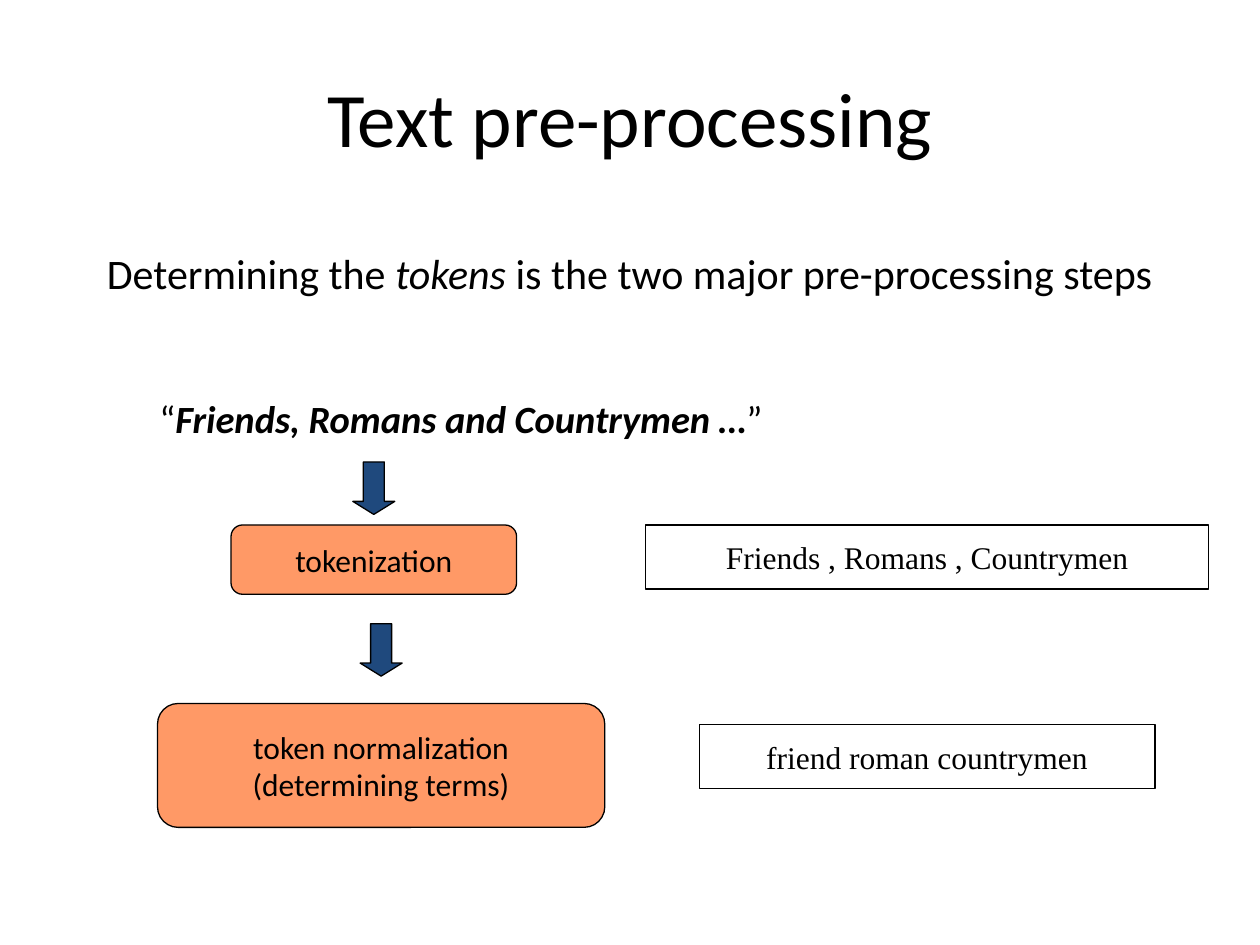
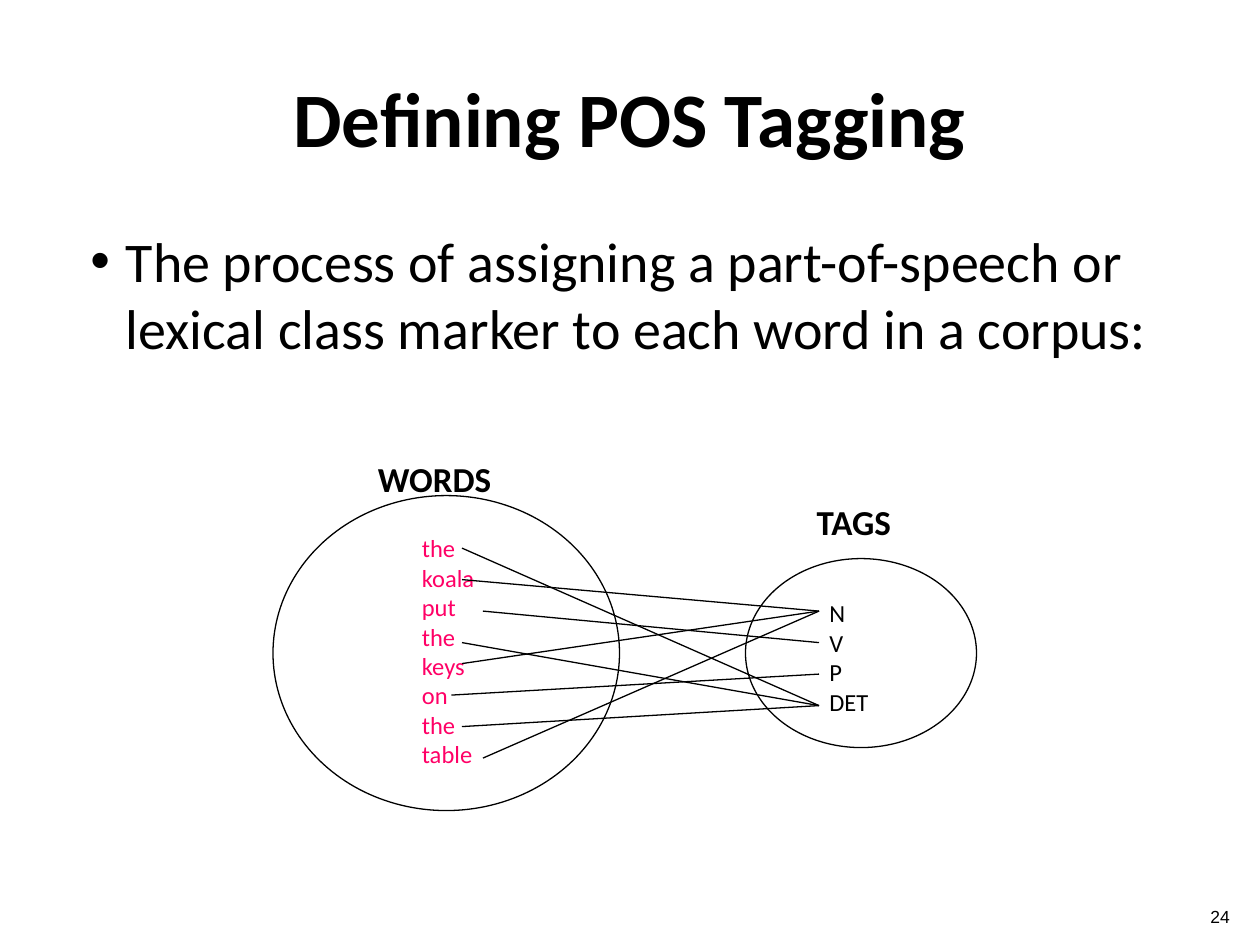
from dataclasses import dataclass

from lxml.etree import SubElement
from pptx import Presentation
from pptx.dml.color import RGBColor
from pptx.enum.shapes import MSO_CONNECTOR, MSO_SHAPE
from pptx.enum.text import MSO_ANCHOR as Anchor, PP_ALIGN as Align
from pptx.oxml.ns import qn
from pptx.util import Inches, Pt

BLACK = RGBColor(0x00, 0x00, 0x00)
WHITE = RGBColor(0xFF, 0xFF, 0xFF)
ORANGE = RGBColor(0xFF, 0x99, 0x66)
NAVY = RGBColor(0x1F, 0x49, 0x7D)
PINK = RGBColor(0xFF, 0x00, 0x66)
SANS, SERIF, NUMBER_FONT = "Calibri", "Times New Roman", "Arial"
OUTLINE = Pt(0.75)

# The slide is a grid of 120 columns by 90 rows
COLUMNS, ROWS = 120, 90
CELL = Inches(10) // COLUMNS


@dataclass
class Box:
    """A region measured in grid cells."""
    left: float
    top: float
    width: float
    height: float

    def inner(self, column, row, width, height):
        return Box(self.left + column, self.top + row, width, height)

    def emu(self):
        return [round(n * CELL) for n in (self.left, self.top, self.width, self.height)]


TITLE_BOX = Box(6, 3.6, 108, 15)
NUMBER_BOX = Box(113.5, 84.1, 4.8, 4.8)


def write(frame, paragraphs, size, font=SANS, color=BLACK, align=Align.LEFT,
          anchor=Anchor.TOP, wrap=True):
    """Each paragraph is a list of (text, style) runs; style holds b and i."""
    frame.word_wrap = wrap
    frame.vertical_anchor = anchor
    for index, runs in enumerate(paragraphs):
        paragraph = frame.add_paragraph() if index else frame.paragraphs[0]
        paragraph.alignment = align
        for text, style in runs:
            for line_index, line in enumerate(text.split("\n")):
                if line_index:
                    paragraph.add_line_break()
                run = paragraph.add_run()
                run.text = line
                run.font.size, run.font.name = Pt(size), font
                run.font.color.rgb = color
                run.font.bold, run.font.italic = "b" in style, "i" in style


def add_text(slide, box, paragraphs, size, **options):
    frame = slide.shapes.add_textbox(*box.emu()).text_frame
    write(frame, paragraphs, size, **options)
    return frame


def add_outlined(slide, preset, box, fill=None):
    shape = slide.shapes.add_shape(preset, *box.emu())
    shape.shadow.inherit = False
    if fill is None:
        shape.fill.background()
    else:
        shape.fill.solid()
        shape.fill.fore_color.rgb = fill
    shape.line.color.rgb, shape.line.width = BLACK, OUTLINE
    return shape


def add_label_shape(slide, preset, box, fill, text, font=SANS):
    shape = add_outlined(slide, preset, box, fill)
    write(shape.text_frame, [[(text, "")]], 18, font=font, align=Align.CENTER,
          anchor=Anchor.MIDDLE, wrap=False)


def add_link(slide, start, end):
    ends = [round(n * CELL) for n in (*start, *end)]
    link = slide.shapes.add_connector(MSO_CONNECTOR.STRAIGHT, *ends)
    link.line.color.rgb, link.line.width = BLACK, OUTLINE
    SubElement(link._element.spPr, qn("a:effectLst"))


def add_bullet(paragraph, margin, hanging):
    properties = paragraph._p.get_or_add_pPr()
    properties.set("marL", str(Inches(margin)))
    properties.set("indent", str(-Inches(hanging)))
    SubElement(properties, qn("a:buFont")).set("typeface", "Arial")
    SubElement(properties, qn("a:buChar")).set("char", "•")


def new_slide(deck, title, style=""):
    slide = deck.slides.add_slide(deck.slide_layouts[6])
    add_text(slide, TITLE_BOX, [[(title, style)]], 44,
             align=Align.CENTER, anchor=Anchor.MIDDLE)
    return slide


def add_step(slide, box, process, process_size, result, result_width, result_row):
    """Arrow above a process at the left; its result at the right edge."""
    width, height = process_size
    arrow = add_outlined(slide, MSO_SHAPE.DOWN_ARROW,
                         box.inner(width / 2 - 2, 0, 4, 5), NAVY)
    arrow.adjustments[1] = 0.31
    add_label_shape(slide, MSO_SHAPE.FLOWCHART_ALTERNATE_PROCESS,
                    box.inner(0, box.height - height, width, height), ORANGE, process)
    add_label_shape(slide, MSO_SHAPE.RECTANGLE,
                    box.inner(box.width - result_width, result_row, result_width, 6.1),
                    WHITE, result, SERIF)


def build_preprocessing(deck):
    slide = new_slide(deck, "Text pre-processing")
    add_text(slide, Box(9, 23, 102, 14),
             [[("Determining the ", ""), ("tokens", "i"),
               (" is the two major pre-processing steps", "")]], 24)
    add_text(slide, Box(14, 37, 74, 5.6),
             [[("“", ""), ("Friends, Romans and Countrymen …", "bi"), ("”", "")]],
             22, wrap=False)
    add_step(slide, Box(22, 44, 93.1, 12.6), "tokenization", (27.2, 6.6),
             "Friends , Romans , Countrymen", 53.6, 6)
    add_step(slide, Box(15, 59.4, 95, 19.4),
             "token normalization\n(determining terms)", (42.6, 11.8),
             "friend roman countrymen", 43.4, 9.6)


# Each word, its tag, and the column where its link starts
WORD_TAGS = [("the", "DET", 18), ("koala", "N", 18), ("put", "V", 20),
             ("the", "DET", 18), ("keys", "N", 18), ("on", "P", 17),
             ("the", "DET", 18), ("table", "N", 20)]
TAGS = ["N", "V", "P", "DET"]


def add_tag_map(slide, box):
    # Words
    add_text(slide, box.inner(13, 7.2, 7.4, 23.5),
             [[(word, "")] for word, _, _ in WORD_TAGS], 14, color=PINK, wrap=False)
    add_outlined(slide, MSO_SHAPE.OVAL, box.inner(0, 4.2, 33, 30))
    add_text(slide, box.inner(8.8, 0, 15, 5.2), [[("WORDS", "b")]], 20, wrap=False)

    # Tags
    add_outlined(slide, MSO_SHAPE.OVAL, box.inner(45, 10.2, 22, 18))
    add_text(slide, box.inner(50.6, 4.1, 11.5, 5.2), [[("TAGS", "b")]], 20, wrap=False)
    add_text(slide, box.inner(51.8, 13.4, 7, 12.4),
             [[(tag, "")] for tag in TAGS], 14, wrap=False)

    # Links: three rows per line, with the lower half of the words one row closer
    for index, (_, tag, column) in enumerate(WORD_TAGS):
        word_row = 9.2 + 3 * index - (index >= len(WORD_TAGS) // 2)
        tag_row = 15.2 + 3 * TAGS.index(tag)
        add_link(slide, (box.left + column, box.top + word_row),
                 (box.left + 52, box.top + tag_row))


def build_tagging(deck):
    slide = new_slide(deck, "Defining POS Tagging", "b")
    definition = add_text(
        slide, Box(6, 21, 108, 59.4),
        [[("The process of assigning a part-of-speech or lexical class marker "
           "to each word in a corpus:", "")]], 32)
    add_bullet(definition.paragraphs[0], 0.4, 0.28)
    add_tag_map(slide, Box(26, 43, 67, 34.2))
    add_text(slide, NUMBER_BOX, [[("24", "")]], 10, font=NUMBER_FONT,
             align=Align.RIGHT, anchor=Anchor.BOTTOM)


def main():
    deck = Presentation()
    deck.slide_width, deck.slide_height = COLUMNS * CELL, ROWS * CELL
    build_preprocessing(deck)
    build_tagging(deck)
    deck.save("out.pptx")


if __name__ == "__main__":
    main()
